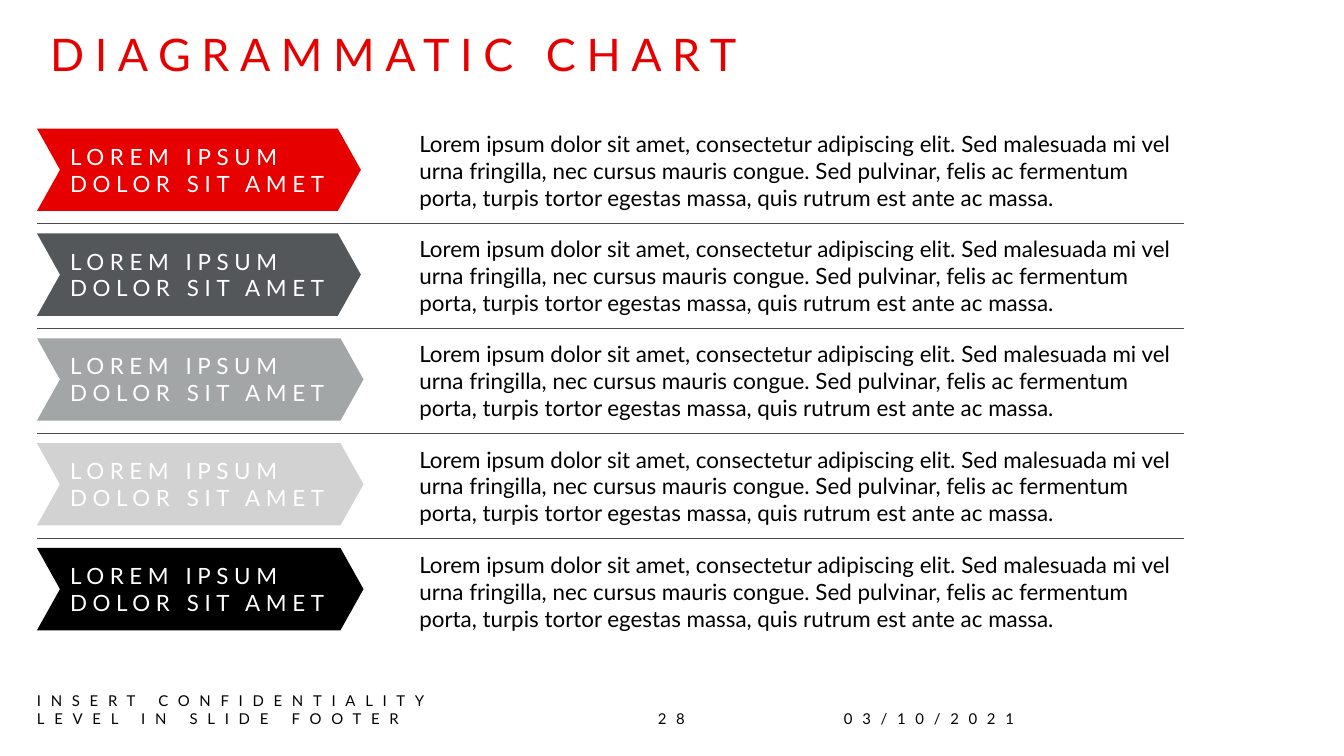
from lxml.etree import fromstring
from pptx import Presentation
from pptx.dml.color import RGBColor
from pptx.enum.shapes import MSO_SHAPE
from pptx.enum.text import MSO_ANCHOR, PP_ALIGN
from pptx.util import Pt

PX = 2286  # EMU per px, 400 px to the inch
NS = "http://schemas.openxmlformats.org/drawingml/2006/main"
PLAIN = "{2D5ABB26-0587-4C30-8999-92F81FD0307C}"  # table style without grid

LABEL = "LOREM IPSUM\nDOLOR SIT AMET"
BODY = (
    "Lorem ipsum dolor sit amet, consectetur adipiscing elit. "
    "Sed malesuada mi vel urna fringilla, nec cursus mauris congue. "
    "Sed pulvinar, felis ac fermentum porta, turpis tortor egestas massa, "
    "quis rutrum est ante ac massa."
)
STEPS = [("E60000", 964), ("54575A", 964), ("A3A6A6", 972),
         ("D2D2D3", 972), ("000000", 972)]
FOOTER = [
    (110, 1204, "INSERT CONFIDENTIALITY LEVEL IN SLIDE FOOTER", PP_ALIGN.LEFT),
    (1908, 180, "28", PP_ALIGN.CENTER),
    (2512, 864, "03/10/2021", PP_ALIGN.LEFT),
]
LEFT = 110


def px(*vals):
    return [val * PX for val in vals]


def color(code):
    return RGBColor.from_string(code)


def write(frame, text, size=12, ink="000000", track=0, font="Lato",
          align=PP_ALIGN.LEFT, after=0, lead=None):
    para = frame.paragraphs[0]
    para.text = text
    para.alignment = align
    para.space_after = Pt(after)
    if lead:
        para.line_spacing = lead
    for run in para.runs:
        run.font.size = Pt(size)
        run.font.name = font
        run.font.color.rgb = color(ink)
        if track:
            run.font._element.set("spc", str(round(track * 100)))


def inset(item, *sides):
    (item.margin_left, item.margin_top,
     item.margin_right, item.margin_bottom) = px(*sides)


class Deck:
    rule = "4A4D4E"

    def __init__(self, wide, high):
        self.show = Presentation()
        self.show.slide_width, self.show.slide_height = px(wide, high)
        self.slide = self.show.slides.add_slide(self.show.slide_layouts[6])

    def text(self, box, words, sides=(40, 20, 40, 20),
             anchor=MSO_ANCHOR.TOP, **style):
        frame = self.slide.shapes.add_textbox(*px(*box)).text_frame
        frame.word_wrap = True
        frame.vertical_anchor = anchor
        inset(frame, *sides)
        write(frame, words, **style)

    def arrow(self, box, fill, words, **style):
        shape = self.slide.shapes.add_shape(MSO_SHAPE.CHEVRON, *px(*box))
        shape.adjustments[0] = 0.28
        shape.shadow.inherit = False
        shape.fill.solid()
        shape.fill.fore_color.rgb = color(fill)
        shape.line.fill.background()
        frame = shape.text_frame
        frame.word_wrap = True
        frame.vertical_anchor = MSO_ANCHOR.MIDDLE
        inset(frame, 30, 15, 15, 15)
        write(frame, words, **style)

    def edge(self, cell, side):
        cell._tc.get_or_add_tcPr().append(fromstring(
            f'<a:{side} xmlns:a="{NS}" w="6350"><a:solidFill>'
            f'<a:srgbClr val="{self.rule}"/></a:solidFill></a:{side}>'))

    def table(self, left, top, cols, pitch, rows):
        frame = self.slide.shapes.add_table(
            len(rows), len(cols),
            *px(left, top, sum(cols), pitch * len(rows)))
        table = frame.table
        table.first_row = table.horz_banding = False
        table._tbl.tblPr.find(f"{{{NS}}}tableStyleId").text = PLAIN
        for col, wide in zip(table.columns, cols):
            col.width = wide * PX
        for i, words in enumerate(rows):
            table.rows[i].height = pitch * PX
            for cell in table.rows[i].cells:
                # Rules only between rows
                if i > 0:
                    self.edge(cell, "lnT")
                if i < len(rows) - 1:
                    self.edge(cell, "lnB")
                cell.fill.background()
            cell = table.cell(i, 1)
            cell.vertical_anchor = MSO_ANCHOR.MIDDLE
            inset(cell, 40, 16, 0, 16)
            write(cell.text_frame, words, after=6)


def main():
    deck = Deck(4000, 2250)

    # Title
    deck.text((110, 92, 3776, 292), "DIAGRAMMATIC CHART",
              size=24, ink="E60000", track=5.7, lead=0.8)

    # Footer
    for left, wide, words, align in FOOTER:
        deck.text((left, 2062, wide, 104), words, sides=(0, 0, 0, 0),
                  anchor=MSO_ANCHOR.BOTTOM, size=8, track=5.2, align=align)

    # Descriptions
    deck.table(LEFT, 352, (1098, 2316), 313, [BODY] * len(STEPS))

    # Step arrows
    for i, (fill, wide) in enumerate(STEPS):
        deck.arrow((LEFT, 383 + i * 312, wide, 245), fill, LABEL,
                   ink="FFFFFF", track=3)

    deck.show.save("out.pptx")


if __name__ == "__main__":
    main()
